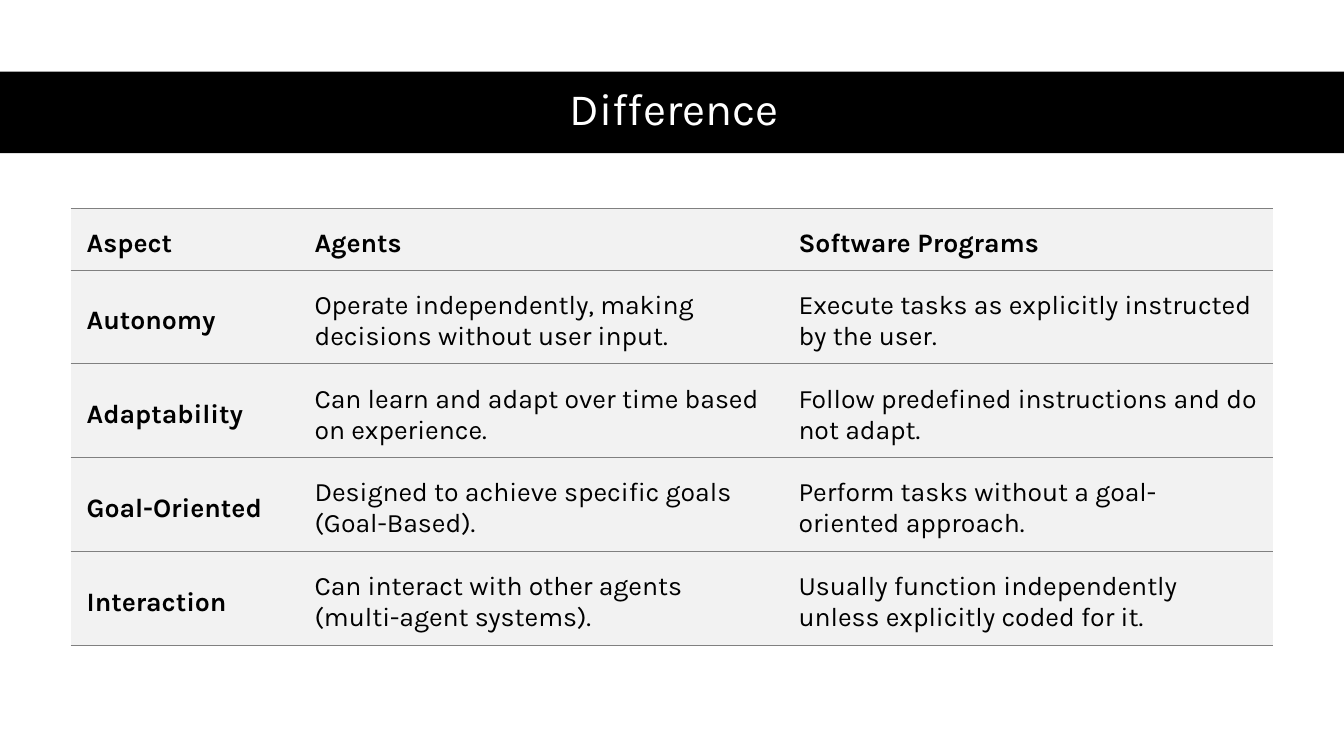
from dataclasses import dataclass

from lxml.etree import SubElement
from pptx import Presentation
from pptx.dml.color import RGBColor
from pptx.enum.shapes import MSO_SHAPE
from pptx.enum.text import MSO_ANCHOR, MSO_AUTO_SIZE, PP_ALIGN
from pptx.oxml.ns import qn
from pptx.util import Pt

PX = 9144  # EMU in one px, 100 px to the inch
FONT = "Karla"
COLORS = {"bar": "000000", "title": "FFFFFF", "text": "000000",
          "cell": "F2F2F2", "rule": "808080"}


@dataclass
class Box:
    left: int
    top: int
    width: int
    height: int

    def emu(self) -> list[int]:
        return [n * PX for n in (self.left, self.top, self.width, self.height)]


@dataclass
class Row:
    height: int
    aspect: str
    agents: str
    programs: str


BAR = Box(0, 71, 1333, 81)
TITLE = Box(61, 70, 1226, 81)
GRID = Box(70, 207, 1193, 432)
COLS = [226, 480, 487]
ROWS = [
    Row(61, "Aspect", "Agents", "Software Programs"),
    Row(93, "Autonomy",
        "Operate independently, making decisions without user input.",
        "Execute tasks as explicitly instructed by the user."),
    Row(93, "Adaptability",
        "Can learn and adapt over time based on experience.",
        "Follow predefined instructions and do not adapt."),
    Row(93, "Goal-Oriented",
        "Designed to achieve specific goals (Goal-Based).",
        "Perform tasks without a goal-oriented approach."),
    Row(93, "Interaction",
        "Can interact with other agents (multi-agent systems).",
        "Usually function independently unless explicitly coded for it."),
]
CELL = {"vertical_anchor": MSO_ANCHOR.MIDDLE, "margin_left": 16 * PX,
        "margin_top": 16 * PX, "margin_right": 16 * PX, "margin_bottom": 8 * PX}
FRAME = {"vertical_anchor": MSO_ANCHOR.MIDDLE, "word_wrap": True,
         "auto_size": MSO_AUTO_SIZE.NONE}


def rgb(name: str) -> RGBColor:
    return RGBColor.from_string(COLORS[name])


def apply(item, values: dict) -> None:
    for key, value in values.items():
        setattr(item, key, value)


def paint(item, name: str) -> None:
    item.fill.solid()
    item.fill.fore_color.rgb = rgb(name)


def style(font, size: int, name: str, bold: bool = False) -> None:
    apply(font, {"name": FONT, "size": Pt(size), "bold": bold})
    font.color.rgb = rgb(name)


def rule(cell) -> None:
    """Draw thin lines above and below the cell, and none at its sides."""
    props = cell._tc.get_or_add_tcPr()
    for spot, side in enumerate(("L", "R", "T", "B")):
        line = SubElement(props, qn(f"a:ln{side}"), w=str(Pt(0.75)))
        if side in "LR":
            SubElement(line, qn("a:noFill"))
        else:
            fill = SubElement(line, qn("a:solidFill"))
            SubElement(fill, qn("a:srgbClr"), val=COLORS["rule"])
        props.insert(spot, line)


def add_title(slide) -> None:
    bar = slide.shapes.add_shape(MSO_SHAPE.RECTANGLE, *BAR.emu())
    bar.shadow.inherit = False
    paint(bar, "bar")
    bar.line.fill.background()

    title = slide.shapes.title
    apply(title, dict(zip(("left", "top", "width", "height"), TITLE.emu())))
    title.text = "Difference "
    apply(title.text_frame, FRAME)
    para = title.text_frame.paragraphs[0]
    apply(para, {"alignment": PP_ALIGN.CENTER, "line_spacing": 0.9})
    style(para.runs[0].font, 32, "title")
    bar.element.addnext(title.element)


def add_grid(slide) -> None:
    table = slide.shapes.add_table(len(ROWS), len(COLS), *GRID.emu()).table
    apply(table, {"first_row": False, "horz_banding": False})
    for col, width in zip(table.columns, COLS):
        col.width = width * PX
    for r, row in enumerate(ROWS):
        table.rows[r].height = row.height * PX
        for c, text in enumerate((row.aspect, row.agents, row.programs)):
            cell = table.cell(r, c)
            cell.text = text
            apply(cell, CELL)
            paint(cell, "cell")
            rule(cell)
            font = cell.text_frame.paragraphs[0].runs[0].font
            style(font, 19, "text", bold=r == 0 or c == 0)


def main() -> None:
    deck = Presentation()
    apply(deck, {"slide_width": 1333 * PX, "slide_height": 750 * PX})
    slide = deck.slides.add_slide(deck.slide_layouts[5])
    # Title band
    add_title(slide)
    # Comparison table
    add_grid(slide)
    deck.save("out.pptx")


if __name__ == "__main__":
    main()
